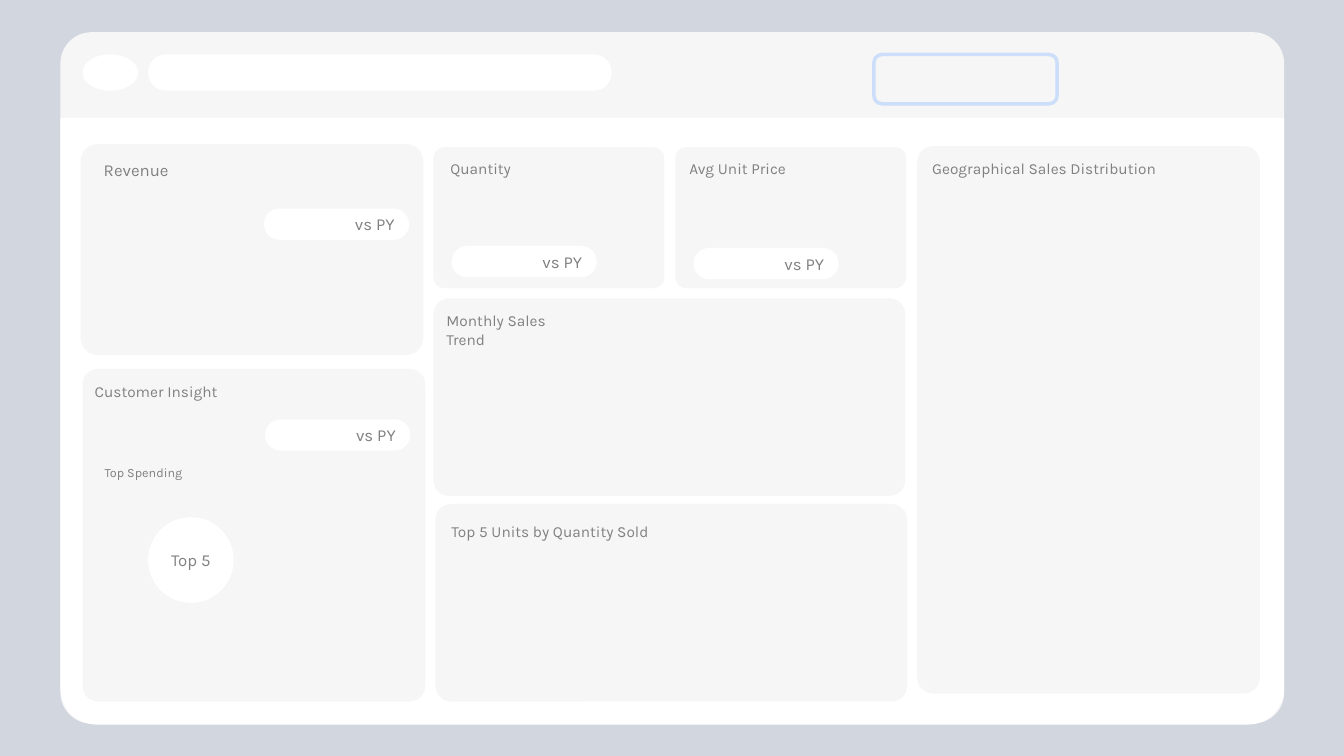
from pptx import Presentation
from pptx.dml.color import RGBColor
from pptx.enum.shapes import MSO_SHAPE
from pptx.enum.text import MSO_ANCHOR, MSO_AUTO_SIZE, PP_ALIGN
from pptx.util import Pt

WHITE, PANEL, GREY, BLUE, BACKDROP = "FFFFFF", "F6F6F6", "808080", "CCDEFA", "D2D6DF"
ROUND, OVAL = MSO_SHAPE.ROUNDED_RECTANGLE, MSO_SHAPE.OVAL

prs = Presentation()
prs.slide_width, prs.slide_height = Pt(960), Pt(540)
slide = prs.slides.add_slide(prs.slide_layouts[6])
slide.background.fill.solid()
slide.background.fill.fore_color.rgb = RGBColor.from_string(BACKDROP)


def add_box(kind, x, y, w, h, fill=None, line=None, adj=()):
    sp = slide.shapes.add_shape(kind, Pt(x), Pt(y), Pt(w), Pt(h))
    sp.shadow.inherit = False
    for i, value in enumerate(adj):
        sp.adjustments[i] = value
    if fill:
        sp.fill.solid()
        sp.fill.fore_color.rgb = RGBColor.from_string(fill)
    else:
        sp.fill.background()
    if line:
        sp.line.color.rgb = RGBColor.from_string(line)
        sp.line.width = Pt(2.5)
    else:
        sp.line.fill.background()
    return sp


def write(sp, text, size=11, align=PP_ALIGN.LEFT, anchor=MSO_ANCHOR.TOP):
    tf = sp.text_frame
    tf.word_wrap = True
    tf.vertical_anchor = anchor
    p = tf.paragraphs[0]
    p.alignment = align
    r = p.add_run()
    r.text = text
    r.font.name, r.font.size = "Karla", Pt(size)
    r.font.color.rgb = RGBColor.from_string(GREY)


# Dashboard frame and white content area
add_box(ROUND, 43.2, 23, 874.1, 493.9, PANEL, adj=[0.045])
add_box(MSO_SHAPE.ROUND_2_SAME_RECTANGLE, 43.2, 84.2, 874.1, 433.4, WHITE, adj=[0, 0.06])

# Header: logo spot, title bar, filter outline
add_box(OVAL, 59, 38.9, 39.6, 25.9, WHITE)
add_box(ROUND, 105.8, 38.9, 331.2, 25.9, WHITE, adj=[0.5])
add_box(ROUND, 624.2, 38.9, 131, 35.3, line=BLUE)

# Cards
for x, y, w, h, corner in [
    (57.6, 103, 244.8, 150.5, 0.08),
    (59, 263.5, 244.8, 237.6, 0.047),
    (309.6, 105.1, 164.9, 100.8, 0.08),
    (482.4, 105.1, 164.9, 100.8, 0.08),
    (309.6, 213.1, 337, 141.1, 0.08),
    (311, 360, 337, 141.1, 0.08),
    (655.2, 104.4, 244.8, 391, 0.047),
]:
    add_box(ROUND, x, y, w, h, PANEL, adj=[corner])

# Comparison pills
for x, y in [(188.6, 149), (322.6, 175.7), (495.4, 177.1), (189.4, 299.5)]:
    pill = add_box(ROUND, x, y, 103.7, 22.3, WHITE, adj=[0.5])
    write(pill, "vs PY", size=12, align=PP_ALIGN.RIGHT, anchor=MSO_ANCHOR.MIDDLE)

# Top 5 circle
circle = add_box(OVAL, 105.8, 369.4, 61.2, 61.2, WHITE)
write(circle, "Top 5", size=12, align=PP_ALIGN.CENTER, anchor=MSO_ANCHOR.MIDDLE)

# Card headings
for text, x, y, w, h, size in [
    ("Revenue", 67, 110.2, 111.6, 21.6, 12),
    ("Quantity", 314.6, 110.2, 111.6, 20.9, 11),
    ("Avg Unit Price", 485.3, 110.2, 111.6, 20.9, 11),
    ("Customer Insight", 60.5, 269.3, 111.6, 20.9, 11),
    ("Monthly Sales Trend", 311.8, 218.9, 111.6, 20.9, 11),
    ("Top 5 Units by Quantity Sold", 315.4, 369.4, 182.2, 20.9, 11),
    ("Geographical Sales Distribution", 658.8, 110.2, 222.5, 20.9, 11),
    ("Top Spending", 67.7, 328.3, 111.6, 18, 9),
]:
    label = slide.shapes.add_textbox(Pt(x), Pt(y), Pt(w), Pt(h))
    write(label, text, size=size)
    label.text_frame.auto_size = MSO_AUTO_SIZE.SHAPE_TO_FIT_TEXT

prs.save("out.pptx")
